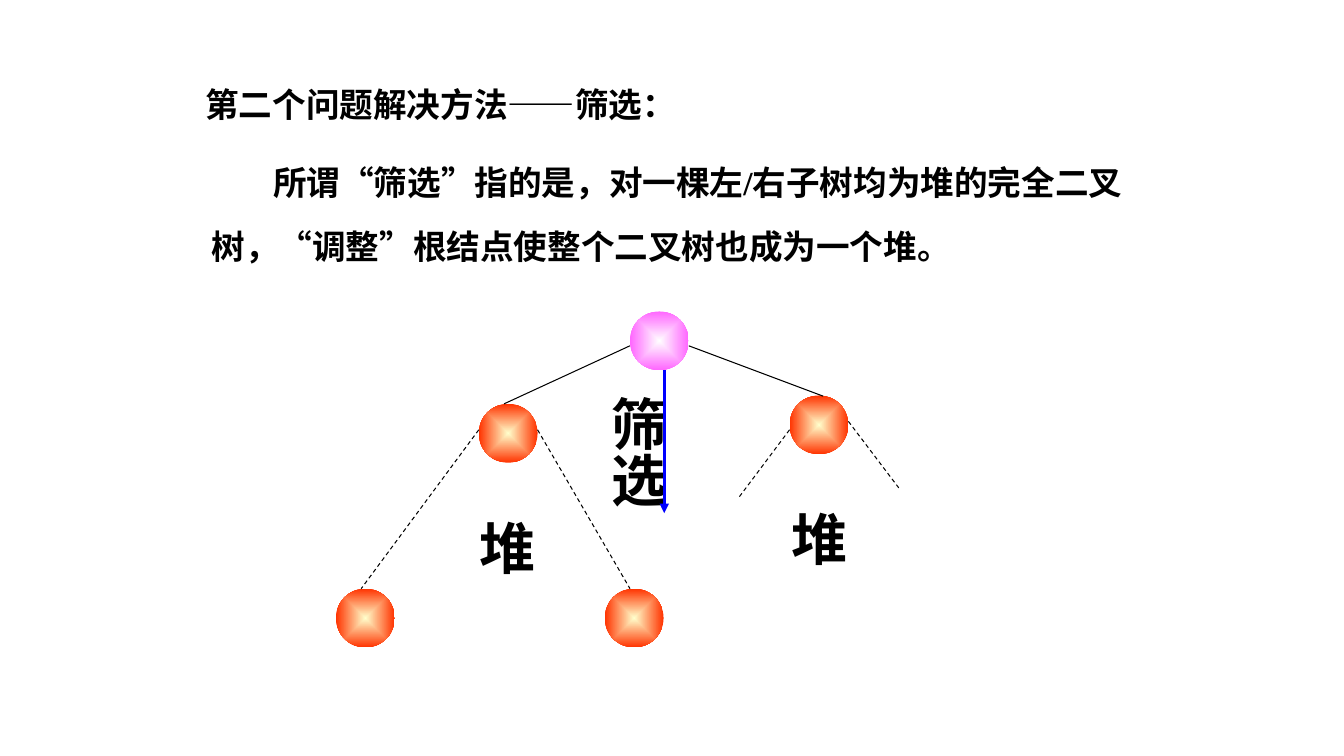
from dataclasses import dataclass
from pptx import Presentation as Deck
from pptx.dml.color import RGBColor as Rgb
from pptx.enum.dml import MSO_LINE as Dash
from pptx.enum.lang import MSO_LANGUAGE_ID as Lang
from pptx.enum.shapes import MSO_CONNECTOR as Link, MSO_SHAPE as Form
from pptx.enum.text import MSO_ANCHOR as Anchor, MSO_AUTO_SIZE as Fit, PP_ALIGN as Align
from pptx.oxml import parse_xml
from pptx.oxml.ns import nsdecls, qn
from pptx.util import Pt


@dataclass(frozen=True)
class Theme:
    font: str = "Times New Roman"
    body: int = 24
    label: int = 40
    ink: str = "000000"
    arrow: str = "0000FF"
    root: tuple = ("FFFFFF", "FF66FF")
    node: tuple = ("FFFFCC", "FF3300")
    ball: int = 42
    thin: float = 0.75
    thick: float = 2.25


class Board:
    def __init__(self, theme, slide):
        self.theme = theme
        self.slide = slide

    def ball(self, x, y, tones):
        size = Pt(self.theme.ball)
        shape = self.slide.shapes.add_shape(Form.OVAL, Pt(x), Pt(y), size, size)
        shape.shadow.inherit = False
        shape.line.fill.background()
        shape.fill.gradient()
        for stop, tone, place in zip(shape.fill.gradient_stops, tones, (0, 1)):
            stop.color.rgb = Rgb.from_string(tone)
            stop.position = place
        grad = shape.element.spPr.find(qn("a:gradFill"))
        grad.replace(grad.find(qn("a:lin")), parse_xml(
            f'<a:path {nsdecls("a")} path="shape">'
            '<a:fillToRect l="50000" t="50000" r="50000" b="50000"/></a:path>'))

    def line(self, start, end, dashed=False):
        link = self.slide.shapes.add_connector(
            Link.STRAIGHT, *(Pt(v) for v in (*start, *end)))
        link.line.color.rgb = Rgb.from_string(self.theme.ink)
        link.line.width = Pt(self.theme.thin)
        if dashed:
            link.line.dash_style = Dash.DASH
        link.element.spPr.append(parse_xml(f'<a:effectLst {nsdecls("a")}/>'))
        return link

    def arrow(self, start, end):
        link = self.line(start, end)
        link.line.color.rgb = Rgb.from_string(self.theme.arrow)
        link.line.width = Pt(self.theme.thick)
        link.element.spPr.find(qn("a:ln")).append(
            parse_xml(f'<a:tailEnd {nsdecls("a")} type="triangle"/>'))

    def words(self, shape, lines, size, pitch=None, wrap=False):
        frame = shape.text_frame
        frame.word_wrap = wrap
        frame.auto_size = Fit.SHAPE_TO_FIT_TEXT
        frame.vertical_anchor = Anchor.TOP
        for i, line in enumerate(lines):
            para = frame.add_paragraph() if i else frame.paragraphs[0]
            para.alignment = Align.LEFT
            para.line_spacing = pitch
            run = para.add_run()
            run.text = line
            font = run.font
            font.name = self.theme.font
            font.size = Pt(size)
            font.bold = True
            font.color.rgb = Rgb.from_string(self.theme.ink)
            font.language_id = Lang.SIMPLIFIED_CHINESE
        return frame

    def title(self, box, line):
        shape = self.slide.shapes.title
        shape.left, shape.top, shape.width, shape.height = map(Pt, box)
        self.words(shape, [line], self.theme.body, 1.25)

    def text(self, box, lines, size, pitch=None, wrap=False, indent=0, upright=False):
        shape = self.slide.shapes.add_textbox(*map(Pt, box))
        frame = self.words(shape, lines, size, pitch, wrap)
        if indent:
            first = frame.paragraphs[0]._p.get_or_add_pPr()
            first.set("indent", str(Pt(indent)))
        if upright:
            shape.element.txBody.bodyPr.set("vert", "eaVert")


def main():
    deck = Deck()
    deck.slide_width, deck.slide_height = Pt(960), Pt(540)
    theme = Theme()
    board = Board(theme, deck.slides.add_slide(deck.slide_layouts[5]))

    board.title((139.5, 49, 360, 40), "第二个问题解决方法——筛选：")

    board.ball(450, 222.5, theme.root)
    for x, y in ((342, 288.5), (564, 282.5), (240, 420.5), (432, 420.5)):
        board.ball(x, y, theme.node)

    for start, end in (((450, 247), (360, 288.5)), ((492, 247), (588, 283))):
        board.line(start, end)
    for start, end in (
        ((342, 307), (258, 420.5)),
        ((384, 307), (450, 420.5)),
        ((564, 307), (528, 355)),
        ((606, 301), (642, 348.5)),
    ):
        board.line(start, end, dashed=True)

    for x, y in ((335.5, 363.5), (558, 356.5)):
        board.text((x, y, 55, 55.5), ["堆"], theme.label)
    board.text((420, 276, 63, 121), ["筛选"], theme.label, wrap=True, upright=True)
    board.text(
        (144, 94.5, 678, 94.5),
        ["所谓“筛选”指的是，对一棵左/右子树均为堆的完全二叉",
         "树，“调整”根结点使整个二叉树也成为一个堆。"],
        theme.body, 1.6, wrap=True, indent=44)
    board.arrow((474.5, 264.5), (474.5, 366.5))

    deck.save("out.pptx")


if __name__ == "__main__":
    main()
